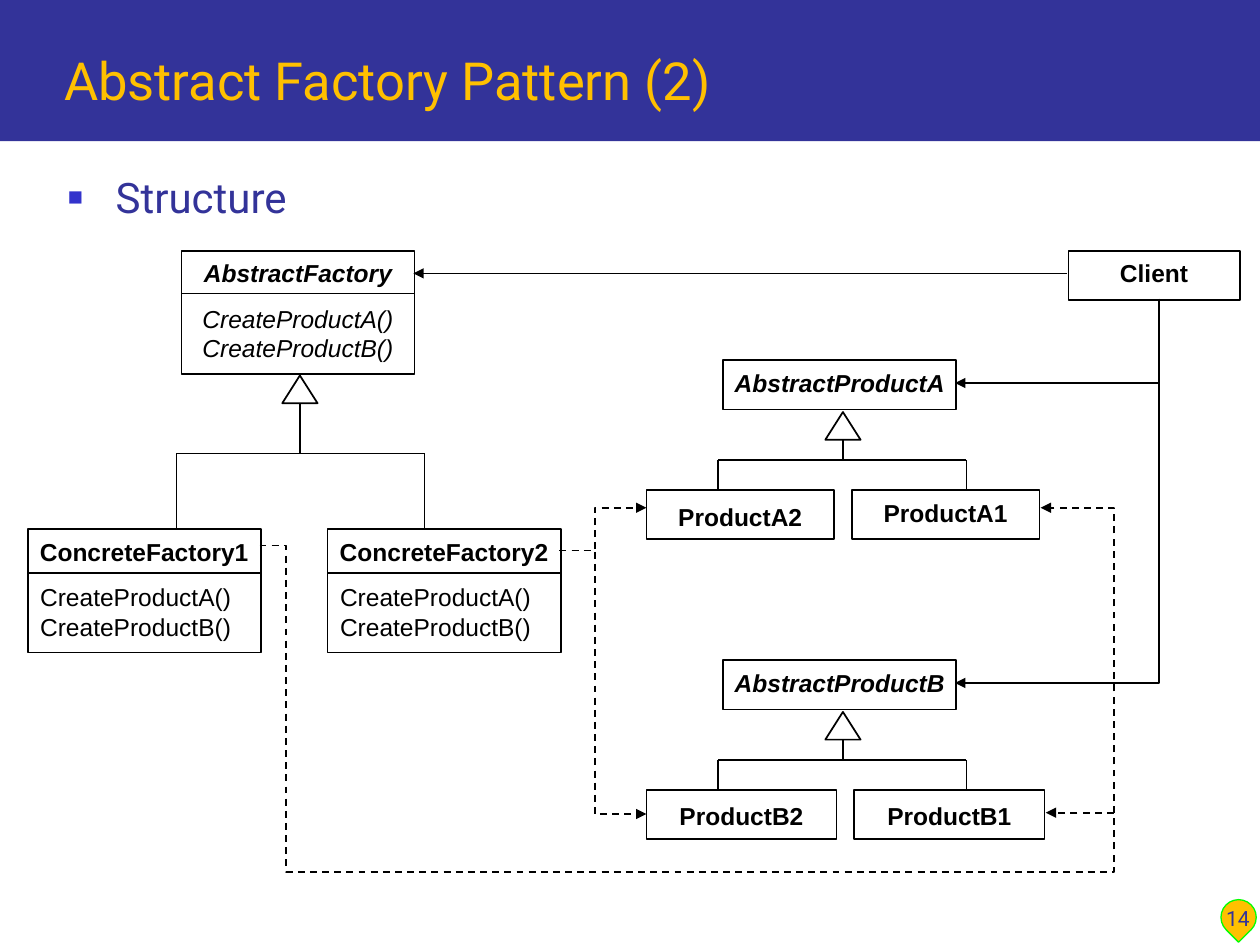
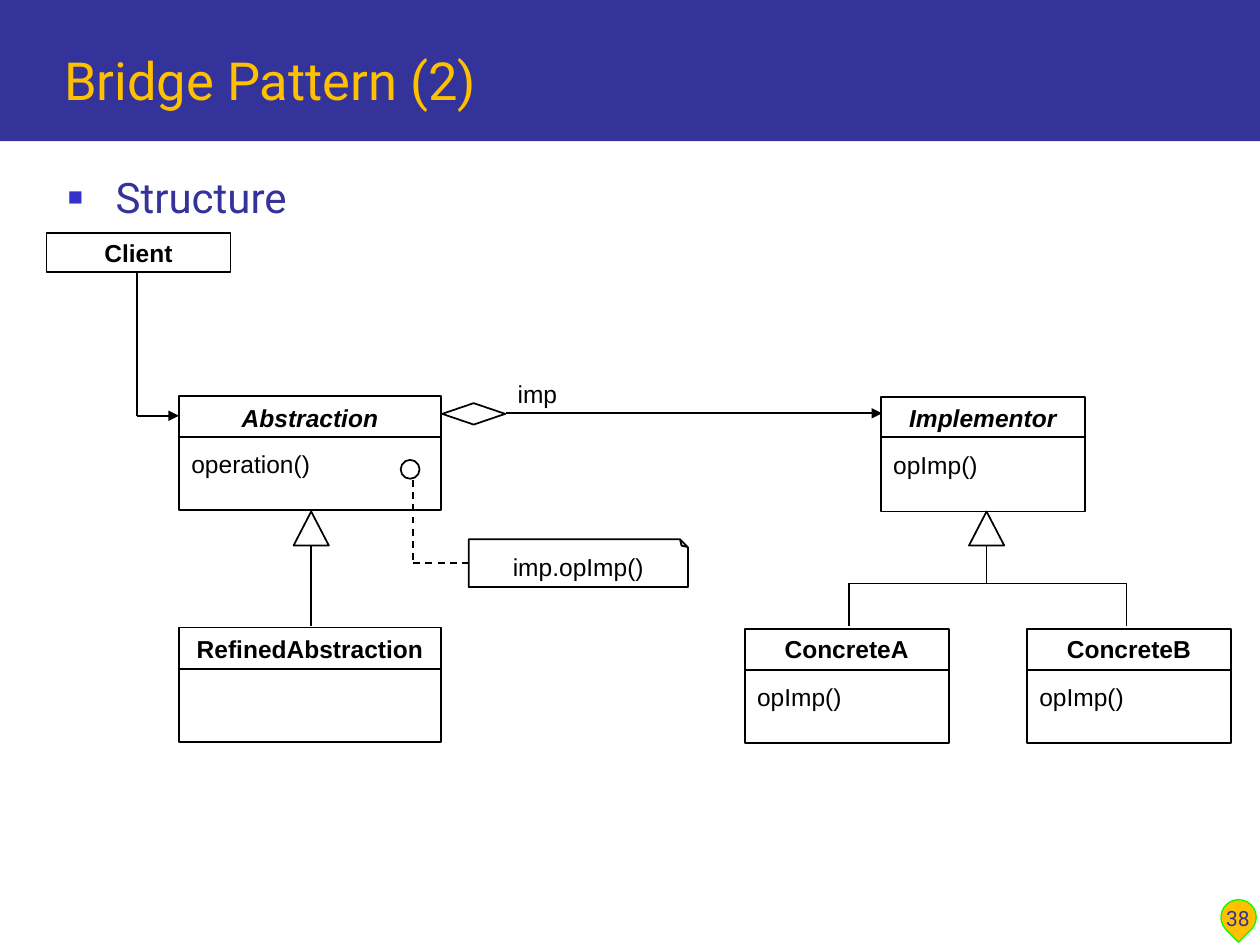
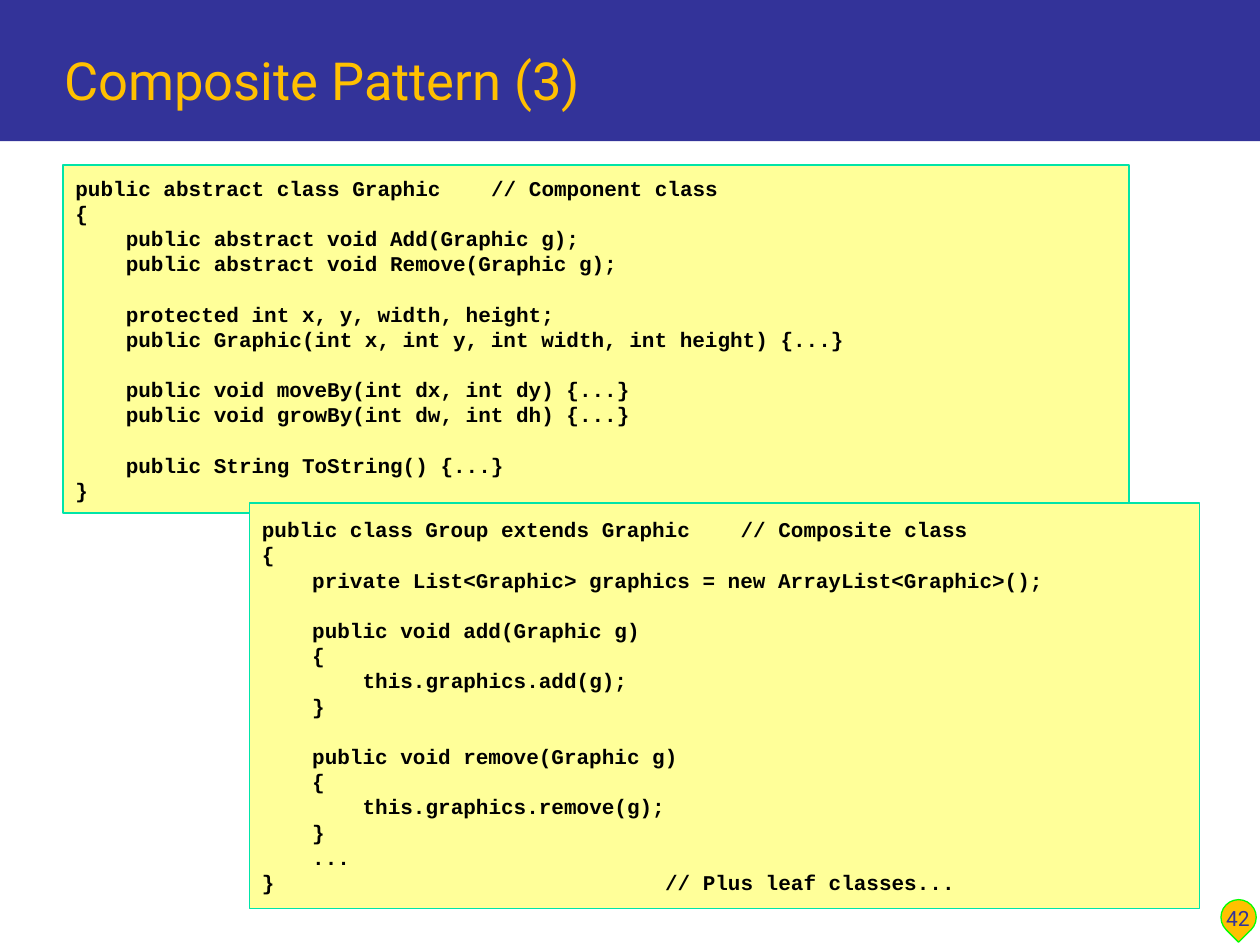
from dataclasses import dataclass
from typing import NamedTuple, Optional, Sequence, Union

from lxml import etree
from pptx import Presentation
from pptx import util as u
from pptx.dml import color as dc
from pptx.enum import dml, shapes, text
from pptx.oxml import ns

IN = u.Inches
KIND = shapes.MSO_SHAPE
LEFT, MID = text.PP_ALIGN.LEFT, text.PP_ALIGN.CENTER
TOP = text.MSO_ANCHOR.TOP
CORE = text.MSO_ANCHOR.MIDDLE
LOW = text.MSO_ANCHOR.BOTTOM


@dataclass(frozen=True)
class Theme:
    navy: str = "333399"
    gold: str = "FFC000"
    lime: str = "00FF00"
    mark: str = "3333CC"
    black: str = "000000"
    white: str = "FFFFFF"
    cream: str = "FFFF99"
    mint: str = "00E4A8"
    face: str = "Roboto"
    sans: str = "Arial"
    mono: str = "Courier New"
    head: float = 30
    body: float = 24
    label: float = 14
    small: float = 12
    lead: float = 1.2


T = Theme()


class Row(NamedTuple):
    text: str
    level: int = 0
    gap: bool = False
    tab: float = 0


@dataclass(frozen=True)
class Box:
    name: str
    x: float
    y: float
    w: float
    h: float = 0.39
    ops: str = ""
    ital: bool = False
    lean: bool = False
    cut: float = 0
    dip: float = 0.02
    fill: Optional[str] = None


@dataclass(frozen=True)
class Tree:
    x: float
    y: float
    h: float
    bar: float
    ends: tuple = ()
    low: float = 0


@dataclass(frozen=True)
class Link:
    pts: tuple
    dash: bool = False
    tip: bool = False


@dataclass(frozen=True)
class Code:
    at: tuple
    rows: tuple


def rgb(hue: str) -> dc.RGBColor:
    return dc.RGBColor.from_string(hue)


def child(node, tag: str, **attrs: str):
    return etree.SubElement(node, ns.qn(tag), attrs)


def write(shape, rows: Union[str, Sequence[Row]], *, size: float = T.label,
          face: str = T.sans, ink: str = T.black, bold: bool = False,
          ital: bool = False, align=LEFT, anchor=TOP, pad: tuple = (0.1, 0.05),
          lead: bool = False, step: float = 0.4):
    frame = shape.text_frame
    frame.word_wrap = True
    frame.vertical_anchor = anchor
    frame.margin_left = frame.margin_right = IN(pad[0])
    frame.margin_top = frame.margin_bottom = IN(pad[1])
    for i, row in enumerate([Row(rows)] if isinstance(rows, str) else rows):
        para = frame.add_paragraph() if i else frame.paragraphs[0]
        para.text = row.text
        para.alignment = align
        if lead:
            para.line_spacing = u.Pt(size * T.lead)
        if row.gap:
            para.space_before = u.Pt(size * T.lead)
        prop = para._p.get_or_add_pPr()
        if row.level:
            prop.set("marL", str(IN(step * row.level)))
        if row.tab:
            stops = child(prop, "a:tabLst")
            child(stops, "a:tab", pos=str(IN(row.tab)), algn="l")
        for run in para.runs:
            font = run.font
            font.size, font.name = u.Pt(size), face
            font.bold, font.italic = bold, ital
            font.color.rgb = rgb(ink)
    return shape


def note(slide, at: tuple, words: str, **form):
    area = slide.shapes.add_textbox(*map(IN, at))
    return write(area, words, **form)


def draw(slide, kind, at: tuple, fill: Optional[str] = None,
         line: Optional[str] = T.black, width: float = 1):
    shape = slide.shapes.add_shape(kind, *map(IN, at))
    paint(shape, fill, line, width)
    return shape


def paint(shape, fill: Optional[str], line: Optional[str],
          width: float = 1) -> None:
    shape.shadow.inherit = False
    if fill:
        shape.fill.solid()
        shape.fill.fore_color.rgb = rgb(fill)
    else:
        shape.fill.background()
    if line:
        shape.line.color.rgb = rgb(line)
        shape.line.width = u.Pt(width)
    else:
        shape.line.fill.background()


def join(slide, link: Link) -> None:
    pts = [(IN(x), IN(y)) for x, y in link.pts]
    if len(pts) == 2:
        shape = slide.shapes.add_connector(
            shapes.MSO_CONNECTOR.STRAIGHT, *pts[0], *pts[1])
        shape.line.color.rgb = rgb(T.black)
        shape.line.width = u.Pt(1)
        child(shape.element.spPr, "a:effectLst")
    else:
        form = slide.shapes.build_freeform(*pts[0], scale=1.0)
        form.add_line_segments(pts[1:], close=False)
        shape = form.convert_to_shape()
        paint(shape, None, T.black)
    if link.dash:
        shape.line.dash_style = dml.MSO_LINE.DASH
    if link.tip:
        child(shape.element.spPr.find(ns.qn("a:ln")), "a:tailEnd",
              type="triangle")


def place(slide, box: Box) -> None:
    x, y, w = box.x, box.y, box.w
    draw(slide, KIND.RECTANGLE, (x, y, w, box.h), box.fill)
    note(slide, (x, y + box.dip, w, 0.32), box.name, bold=True,
         ital=box.ital, align=MID, pad=(0.05, 0.04))
    if box.cut:
        join(slide, Link(((x, y + box.cut), (x + w, y + box.cut))))
    if box.ops:
        note(slide, (x, y + 0.38, w, 0.55), box.ops, ital=box.lean,
             align=MID if box.lean else LEFT, pad=(0.1, 0.04), lead=True)


def grow(slide, tree: Tree) -> None:
    draw(slide, KIND.ISOSCELES_TRIANGLE,
         (tree.x - 0.14, tree.y, 0.28, tree.h))
    lines = [((tree.x, tree.y + tree.h), (tree.x, tree.bar))]
    if tree.ends:
        lines.append(tuple((x, tree.bar) for x in tree.ends))
    lines += [((x, tree.bar), (x, tree.low)) for x in tree.ends]
    for pts in lines:
        join(slide, Link(pts))


def show(slide, code: Code) -> None:
    panel = draw(slide, KIND.RECTANGLE, code.at, T.cream, T.mint)
    write(panel, code.rows, size=T.small, face=T.mono, bold=True,
          anchor=CORE, lead=True)


def start(deck, title: str, page: int, topic: str = ""):
    slide = deck.slides.add_slide(deck.slide_layouts[6])
    draw(slide, KIND.RECTANGLE, (0, 0, 10, 1.12), T.navy, None)
    drop = draw(slide, KIND.TEAR, (9.69, 7.14, 0.28, 0.28),
                T.gold, T.lime, 0.75)
    drop.rotation = 135
    note(slide, (0.41, 0.17, 9.35, 0.76), title, size=T.head, face=T.face,
         ink=T.gold, anchor=LOW)
    note(slide, (9.54, 6.94, 0.57, 0.5), str(page), size=T.small,
         face=T.face, ink=T.navy, align=MID, anchor=LOW)
    if topic:
        area = note(slide, (0.44, 1.31, 9.28, 5.4), topic, size=T.body,
                    face=T.face, ink=T.navy)
        prop = area.text_frame.paragraphs[0]._p.get_or_add_pPr()
        prop.set("marL", str(IN(0.38)))
        prop.set("indent", str(IN(-0.38)))
        child(child(prop, "a:buClr"), "a:srgbClr", val=T.mark)
        child(prop, "a:buSzPct", val="60000")
        child(prop, "a:buFont", typeface=T.sans)
        child(prop, "a:buChar", char="■")
    return slide


def chart(slide, trees: Sequence[Tree], boxes: Sequence[Box],
          links: Sequence[Link]) -> None:
    for tree in trees:
        grow(slide, tree)
    for box in boxes:
        place(slide, box)
    for link in links:
        join(slide, link)


def factory(deck) -> None:
    slide = start(deck, "Abstract Factory Pattern (2)", 14, "Structure")
    ops = "CreateProductA()\vCreateProductB()"
    drop = 2.38
    trees = [Tree(2.38, 2.98, 0.22, 3.6, (1.4, 3.37), 4.19)]
    boxes = [
        Box("AbstractFactory", 1.44, 1.99, 1.85, 0.98, ops, True, True, 0.34),
        Box("Client", 8.48, 1.99, 1.36),
    ]
    boxes += [Box(f"ConcreteFactory{i + 1}", x, 4.2, 1.85, 0.98, ops,
                  cut=0.35) for i, x in enumerate((0.22, 2.6))]
    for i, (kind, w, x, dip) in enumerate((("A", 1.49, 6.76, 0.02),
                                           ("B", 1.51, 6.78, 0.05))):
        y = 2.86 + i * drop
        trees.append(Tree(6.69, y + 0.41, 0.22, y + 0.79, (5.7, 7.67),
                          y + 1.03))
        boxes += [
            Box(f"AbstractProduct{kind}", 5.74, y, 1.85, ital=True),
            Box(f"Product{kind}2", 5.13, y + 1.03, w, dip=0.05),
            Box(f"Product{kind}1", x, y + 1.03, w, dip=dip, fill=T.white),
        ]
    links = [
        Link(((9.2, 2.37), (9.2, 3.04), (7.58, 3.04)), tip=True),
        Link(((9.2, 2.54), (9.2, 5.42), (7.58, 5.42)), tip=True),
        Link(((8.47, 2.17), (3.28, 2.17)), tip=True),
        Link(((2.06, 4.33), (2.27, 4.33), (2.27, 6.92), (8.84, 6.92),
              (8.84, 4.03), (8.26, 4.03)), True, True),
        Link(((8.84, 6.45), (8.3, 6.45)), True, True),
    ]
    links += [Link(((4.44, 4.37), (4.72, 4.37), (4.72, y), (5.13, y)),
                   True, True) for y in (4.03, 6.46)]
    chart(slide, trees, boxes, links)


def bridge(deck) -> None:
    slide = start(deck, "Bridge Pattern (2)", 38, "Structure")
    trees = [
        Tree(7.83, 4.06, 0.27, 4.63, (6.74, 8.94), 4.97),
        Tree(2.47, 4.06, 0.27, 4.97),
    ]
    boxes = [
        Box("Client", 0.37, 1.85, 1.46, 0.31, dip=0, fill=T.white),
        Box("Abstraction", 1.42, 3.14, 2.08, 0.91, "operation()", True,
            cut=0.33),
        Box("RefinedAbstraction", 1.42, 4.98, 2.08, 0.91, cut=0.33, dip=0.01),
        Box("Implementor", 6.99, 3.15, 1.62, 0.91, "opImp()", True,
            cut=0.32, dip=0.01),
        Box("ConcreteA", 5.91, 4.99, 1.62, 0.91, "opImp()", cut=0.33, dip=0),
        Box("ConcreteB", 8.15, 4.99, 1.62, 0.91, "opImp()", cut=0.33, dip=0,
            fill=T.white),
    ]
    links = [
        Link(((1.09, 2.16), (1.09, 3.3))),
        Link(((1.09, 3.3), (1.42, 3.3)), tip=True),
        Link(((4.02, 3.28), (7, 3.28)), tip=True),
        Link(((3.28, 3.81), (3.28, 4.47)), True),
        Link(((3.28, 4.47), (3.77, 4.47)), True),
    ]
    chart(slide, trees, boxes, links)
    draw(slide, KIND.OVAL, (3.18, 3.65, 0.15, 0.15))
    draw(slide, KIND.DIAMOND, (3.51, 3.2, 0.5, 0.17))
    memo = draw(slide, KIND.FOLDED_CORNER, (3.72, 4.28, 1.74, 0.38), T.white)
    memo.element.spPr.find(ns.qn("a:xfrm")).set("flipV", "1")
    write(memo, "imp.opImp()", align=MID, anchor=CORE)
    memo.text_frame._txBody.bodyPr.set("rot", "10800000")
    note(slide, (4.01, 2.96, 0.6, 0.33), "imp")


def group(deck) -> None:
    slide = start(deck, "Composite Pattern (3)", 42)
    show(slide, Code((0.5, 1.31, 8.46, 2.76), (
        Row("public abstract class Graphic\t// Component class", tab=3.3),
        Row("{"),
        Row("public abstract void Add(Graphic g);", 1),
        Row("public abstract void Remove(Graphic g);", 1),
        Row("protected int x, y, width, height;", 1, True),
        Row("public Graphic(int x, int y, int width, int height) {...}", 1),
        Row("public void moveBy(int dx, int dy) {...}", 1, True),
        Row("public void growBy(int dw, int dh) {...}", 1),
        Row("public String ToString() {...}", 1, True),
        Row("}"),
    )))
    calls = [
        row for name in ("add", "remove") for row in (
            Row(f"public void {name}(Graphic g)", 1, True),
            Row("{", 1),
            Row(f"this.graphics.{name}(g);", 2),
            Row("}", 1),
        )
    ]
    show(slide, Code((1.98, 3.99, 7.54, 3.22), (
        Row("public class Group extends Graphic\t// Composite class", tab=3.8),
        Row("{"),
        Row("private List<Graphic> graphics = new ArrayList<Graphic>();", 1),
        *calls,
        Row("...", 1),
        Row("}\t// Plus leaf classes...", tab=3.2),
    )))


def main() -> None:
    deck = Presentation()
    deck.slide_width, deck.slide_height = IN(10), IN(7.5)
    for build in (factory, bridge, group):
        build(deck)
    deck.save("out.pptx")


main()
